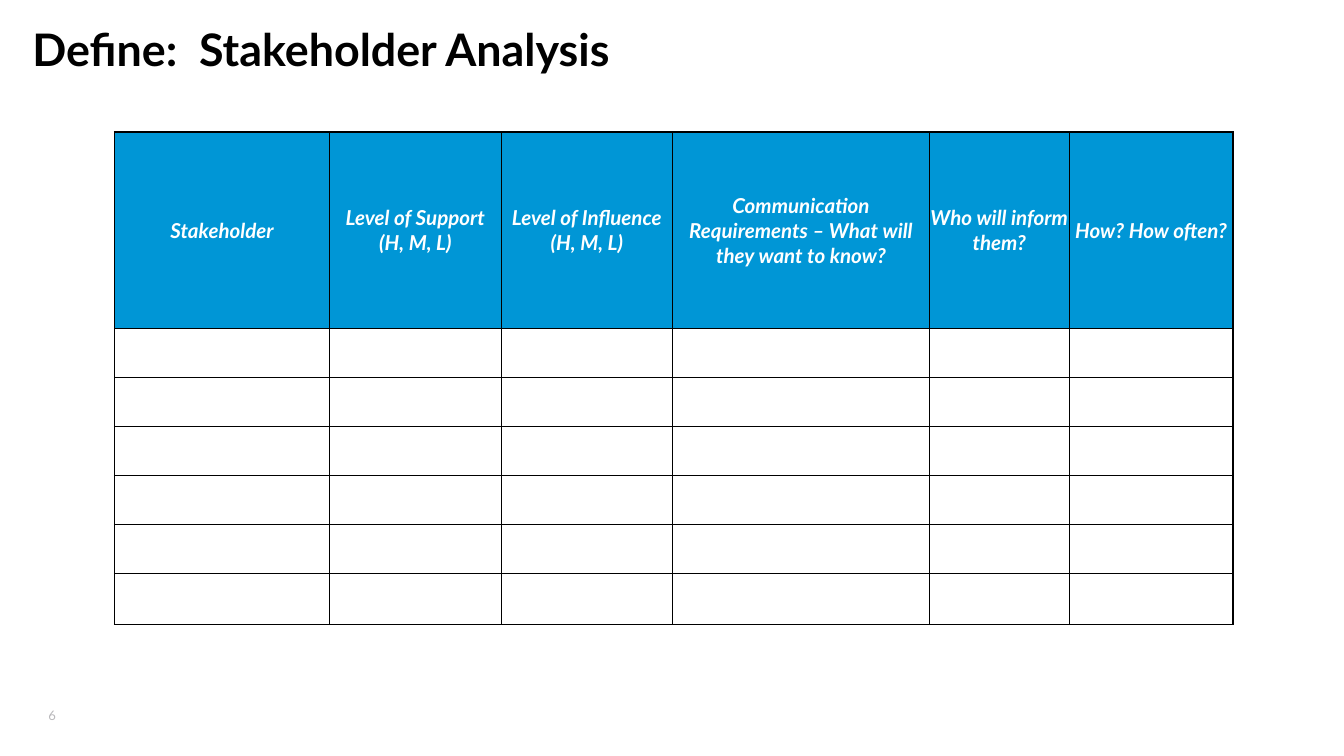
import pptx
import pptx.dml.color
import pptx.enum.text
import pptx.oxml
import pptx.oxml.ns
import pptx.util

HEADERS = [
    "Stakeholder",
    "Level of Support\v(H, M, L)",
    "Level of Influence\v(H, M, L)",
    "Communication Requirements – What will they want to know?",
    "Who will inform them?",
    "How? How often?",
]
COLUMN_WIDTHS = [16, 12.76, 12.76, 19.1, 10.4, 12.2]
ROW_HEIGHTS = [14.6] + [3.65] * 5 + [3.8]


def color(value):
    return pptx.dml.color.RGBColor.from_string(value)


class SlideBuilder:
    """Draws styled elements on a slide whose grid is 100 columns wide, with square cells."""

    font_name = "Lato"
    ink, paper, accent, muted = "000000", "FFFFFF", "0096D6", "B9B8BB"
    thin, thick = 0.5, 1

    def __init__(self, presentation):
        self.unit = presentation.slide_width / 100
        self.slide = presentation.slides.add_slide(presentation.slide_layouts[5])

    def grid(self, *lengths):
        return [pptx.util.Emu(round(length * self.unit)) for length in lengths]

    def format_paragraph(self, paragraph, size, ink, bold=False, italic=False, centered=False):
        font = paragraph.font
        font.name, font.size = self.font_name, pptx.util.Pt(size)
        font.bold, font.italic = bold, italic
        font.color.rgb = color(ink)
        alignment = pptx.enum.text.PP_ALIGN
        paragraph.alignment = alignment.CENTER if centered else alignment.LEFT

    def set_margins(self, frame, left=0, top=0, right=0, bottom=0):
        frame.margin_left, frame.margin_top, frame.margin_right, frame.margin_bottom = self.grid(
            left, top, right, bottom
        )

    def title(self, text, left, top, width, height):
        shape = self.slide.shapes.title
        shape.left, shape.top, shape.width, shape.height = self.grid(left, top, width, height)
        frame = shape.text_frame
        frame.text = text
        frame.word_wrap = True
        frame.auto_size = pptx.enum.text.MSO_AUTO_SIZE.NONE
        frame.vertical_anchor = pptx.enum.text.MSO_ANCHOR.TOP
        self.set_margins(frame)
        self.format_paragraph(frame.paragraphs[0], 24, self.ink, bold=True)

    def page_number(self, text, left, top, width, height):
        shape = self.slide.shapes.add_textbox(*self.grid(left, top, width, height))
        frame = shape.text_frame
        frame.text = text
        frame.word_wrap = False
        frame.vertical_anchor = pptx.enum.text.MSO_ANCHOR.MIDDLE
        self.set_margins(frame, 0, 0.5, 1, 0.5)
        self.format_paragraph(frame.paragraphs[0], 7, self.muted)

    def border(self, cell, side, width):
        cell._tc.get_or_add_tcPr().append(pptx.oxml.parse_xml(
            f'<a:ln{side} {pptx.oxml.ns.nsdecls("a")} w="{pptx.util.Pt(width)}">'
            f'<a:solidFill><a:srgbClr val="{self.ink}"/></a:solidFill></a:ln{side}>'
        ))

    def table(self, headers, left, top, widths, heights):
        shape = self.slide.shapes.add_table(
            len(heights), len(widths), *self.grid(left, top, sum(widths), sum(heights))
        )
        table = shape.table
        for column, width in zip(table.columns, self.grid(*widths)):
            column.width = width
        for row, height in zip(table.rows, self.grid(*heights)):
            row.height = height
        last_row, last_column = len(heights) - 1, len(widths) - 1
        for row in range(len(heights)):
            for column in range(len(widths)):
                cell = table.cell(row, column)
                outer_edges = {
                    "L": column == 0,
                    "R": column == last_column,
                    "T": row == 0,
                    "B": row == last_row,
                }
                for side, is_outer in outer_edges.items():
                    self.border(cell, side, self.thick if is_outer else self.thin)
                cell.fill.solid()
                cell.fill.fore_color.rgb = color(self.accent if row == 0 else self.paper)
                cell.vertical_anchor = pptx.enum.text.MSO_ANCHOR.MIDDLE
                self.set_margins(cell)
                if row == 0:
                    cell.text = headers[column]
                self.format_paragraph(
                    cell.text_frame.paragraphs[0], 11, self.paper if row == 0 else self.ink,
                    bold=row == 0, italic=row == 0, centered=True,
                )


def main():
    presentation = pptx.Presentation()
    presentation.slide_width = pptx.util.Inches(10)
    presentation.slide_height = presentation.slide_width * 9 // 16
    builder = SlideBuilder(presentation)
    builder.title("Define:  Stakeholder Analysis", 2.4, 1.6, 93, 4.2)
    builder.table(HEADERS, 8.53, 9.83, COLUMN_WIDTHS, ROW_HEIGHTS)
    builder.page_number("6", 3.6, 52.45, 3.5, 1.6)
    presentation.save("out.pptx")


if __name__ == "__main__":
    main()
